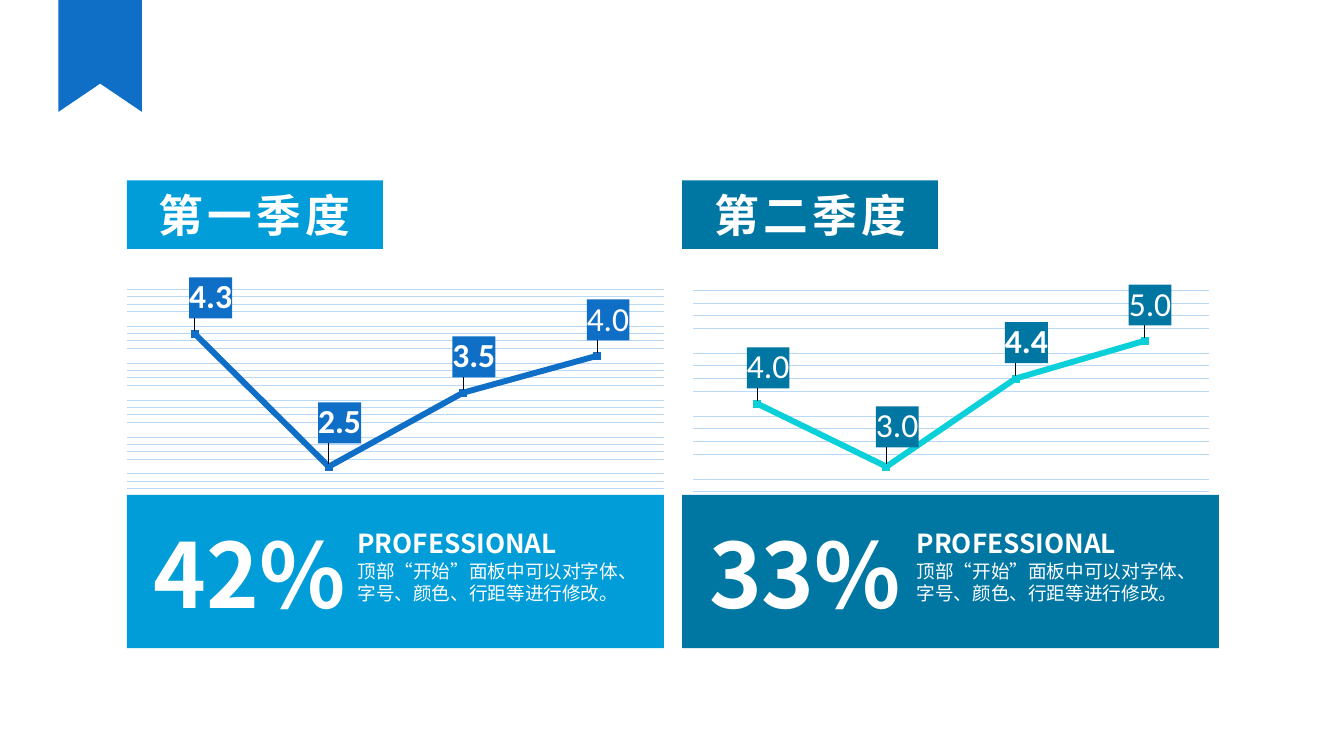
from lxml import etree
from pptx import Presentation
from pptx.chart.data import CategoryChartData
from pptx.dml.color import RGBColor
from pptx.enum.chart import XL_CHART_TYPE, XL_LABEL_POSITION, XL_MARKER_STYLE
from pptx.enum.shapes import MSO_SHAPE
from pptx.enum.text import MSO_ANCHOR, MSO_AUTO_SIZE, PP_ALIGN
from pptx.oxml import parse_xml
from pptx.oxml.ns import nsdecls, qn
from pptx.util import Inches, Pt

LINE = XL_CHART_TYPE.LINE_MARKERS
ABOVE = XL_LABEL_POSITION.ABOVE
SQUARE = XL_MARKER_STYLE.SQUARE
RECT = MSO_SHAPE.RECTANGLE
MIDDLE = MSO_ANCHOR.MIDDLE
CENTER = PP_ALIGN.CENTER
FIT_SHAPE = MSO_AUTO_SIZE.SHAPE_TO_FIT_TEXT

BLUE, WHITE, GRID = "0F6FC6", "FFFFFF", "BAD9F7"
NOTE = "顶部“开始”面板中可以对字体、字号、颜色、行距等进行修改。"


def rgb(code):
    """Turn a hex string into a colour."""
    return RGBColor.from_string(code)


def solid_fill(color):
    """Write a solid fill as XML."""
    return f'<a:solidFill><a:srgbClr val="{color}"/></a:solidFill>'


def chart_format(content):
    """Build the shape properties of a chart part."""
    return parse_xml(f'<c:spPr {nsdecls("c", "a")}>{content}</c:spPr>')


def manual_layout(x, y, w=None, h=None):
    """Build a chart layout: an inner plot area, or an offset without size."""
    layout = parse_xml(f'<c:layout {nsdecls("c")}><c:manualLayout/></c:layout>')
    values = [("x", x), ("y", y)]
    if w:
        values = [("layoutTarget", "inner"), ("xMode", "edge"),
                  ("yMode", "edge"), *values, ("w", w), ("h", h)]
    for tag, value in values:
        etree.SubElement(layout[0], qn(f"c:{tag}")).set("val", str(value))
    return layout


class Deck:
    """Hold the style and the current slide."""

    font = "Noto Sans CJK SC"
    chart_font = "Calibri"

    def __init__(self, prs):
        """Add a blank slide to draw on."""
        self.s = prs.slides.add_slide(prs.slide_layouts[6])

    def paint(self, sp, color):
        """Give a shape a flat fill, with no line or shadow."""
        sp.shadow.inherit = False
        sp.fill.solid()
        sp.fill.fore_color.rgb = rgb(color)
        sp.line.fill.background()

    def run(self, p, text, size, bold=True, spacing=0):
        """Add one white run to a paragraph."""
        r = p.add_run()
        r.text = text
        r.font.size, r.font.bold, r.font.name = Pt(size), bold, self.font
        r.font.color.rgb = rgb(WHITE)
        rpr = r.font._element
        etree.SubElement(rpr, qn("a:ea")).set("typeface", self.font)
        if spacing:
            rpr.set("spc", str(spacing * 100))

    def ribbon(self, x, w, h, notch):
        """Draw a ribbon hanging from the top edge."""
        fb = self.s.shapes.build_freeform(Inches(x), 0)
        points = [(x + w, 0), (x + w, h), (x + w / 2, notch), (x, h)]
        fb.add_line_segments([(Inches(a), Inches(b)) for a, b in points])
        self.paint(fb.convert_to_shape(), BLUE)

    def box(self, x, y, w, h, color):
        """Draw a filled rectangle."""
        sp = self.s.shapes.add_shape(RECT, Inches(x), Inches(y), Inches(w), Inches(h))
        self.paint(sp, color)
        return sp

    def heading(self, x, y, w, h, color, text):
        """Draw a filled box with a centred, spaced heading."""
        tf = self.box(x, y, w, h, color).text_frame
        tf.vertical_anchor = MIDDLE
        p = tf.paragraphs[0]
        p.alignment = CENTER
        self.run(p, text, 32, spacing=3)

    def text(self, x, y, w, h, text, size, bold=True, wrap=False, leading=None):
        """Add a text box that grows with its text."""
        sp = self.s.shapes.add_textbox(Inches(x), Inches(y), Inches(w), Inches(h))
        tf = sp.text_frame
        tf.word_wrap, tf.auto_size = wrap, FIT_SHAPE
        p = tf.paragraphs[0]
        if leading:
            p.line_spacing = Pt(leading)
        self.run(p, text, size, bold)

    def label(self, point, color, bold, shift):
        """Put a filled value label above a point."""
        dl = point.data_label
        dl.font.size, dl.font.bold, dl.font.name = Pt(24), bold, self.chart_font
        dl.font.color.rgb = rgb(WHITE)
        dl.position = ABOVE
        dlbl = dl._dLbl
        dlbl.find(qn("c:idx")).addnext(manual_layout(*shift))
        dlbl.find(qn("c:txPr")).addprevious(chart_format(solid_fill(color)))

    def chart(self, x, y, w, h, q):
        """Add a line chart with minor gridlines and value labels."""
        data = CategoryChartData(number_format="0.0")
        data.categories = ["1", "2", "3", "4"]
        data.add_series("Series 1", q["values"])
        chart = self.s.shapes.add_chart(
            LINE, Inches(x), Inches(y), Inches(w), Inches(h), data).chart
        chart.has_legend = chart.has_title = False
        chart.font.size, chart.font.name = Pt(10), self.chart_font
        chart.font.color.rgb = rgb("000000")

        axis = chart.value_axis
        axis.minimum_scale, axis.maximum_scale = 0, q["top"]
        axis.major_unit, axis.minor_unit = q["step"], q["step"] / 5
        axis.has_major_gridlines, axis.has_minor_gridlines = False, True
        area = chart._chartSpace.chart.plotArea
        grid = next(area.iter(qn("c:minorGridlines")))
        grid.append(chart_format(f'<a:ln w="{Pt(0.75)}">{solid_fill(GRID)}</a:ln>'))
        axis.visible = chart.category_axis.visible = False

        for old in area.findall(qn("c:layout")):
            area.remove(old)
        area.insert(0, manual_layout(*q["plot"]))

        chart.plots[0].vary_by_categories = False
        series = chart.plots[0].series[0]
        series.smooth = False
        series.format.line.width = Pt(4.25)
        series.format.line.color.rgb = rgb(q["line"])
        marker = series.marker
        marker.style, marker.size = SQUARE, 5
        marker.format.fill.solid()
        marker.format.fill.fore_color.rgb = rgb(q["line"])
        marker.format.line.color.rgb = rgb(q["edge"])
        for i, (bold, shift) in enumerate(zip(q["bold"], q["shifts"])):
            self.label(series.points[i], q["label"], bold, shift)


QUARTERS = [
    dict(x=1.26, note_x=3.45, name="第一季度", share="42%", fill="009DD9",
         values=[4.3, 2.5, 3.5, 4.0], top=5, step=0.5, plot=(0, 0.03, 1, 0.94),
         line=BLUE, edge="0B5394", label=BLUE, bold=[True, True, True, False],
         shifts=[(0.03, -0.02), (0.02, -0.04), (0.02, -0.02), (0.02, -0.02)]),
    dict(x=6.77, note_x=9, name="第二季度", share="33%", fill="0076A3",
         values=[4.0, 3.0, 4.4, 5.0], top=6, step=1, plot=(0.02, 0.02, 0.96, 0.96),
         line="0BD0D9", edge="089CA3", label="0076A3", bold=[False, False, True, False],
         shifts=[(0.02, -0.02), (0.02, -0.03), (0.02, -0.02), (0.01, -0.02)]),
]

prs = Presentation()
prs.slide_width, prs.slide_height = Inches(13.34), Inches(7.5)
deck = Deck(prs)
deck.ribbon(0.58, 0.83, 1.11, 0.83)
for q in QUARTERS:
    x, note_x = q["x"], q["note_x"]
    deck.chart(x, 2.68, 5.34, 3.9, q)
    deck.box(x, 4.91, 5.33, 1.52, q["fill"])
    deck.text(x + 0.17, 5.1, 2.15, 1.18, q["share"], 64)
    deck.heading(x, 1.79, 2.54, 0.68, q["fill"], q["name"])
    deck.text(note_x, 5.18, 2.24, 0.42, "PROFESSIONAL", 18.7)
    deck.text(note_x, 5.5, 3.07, 0.55, NOTE, 13.3, bold=False, wrap=True, leading=16)
prs.save("out.pptx")
